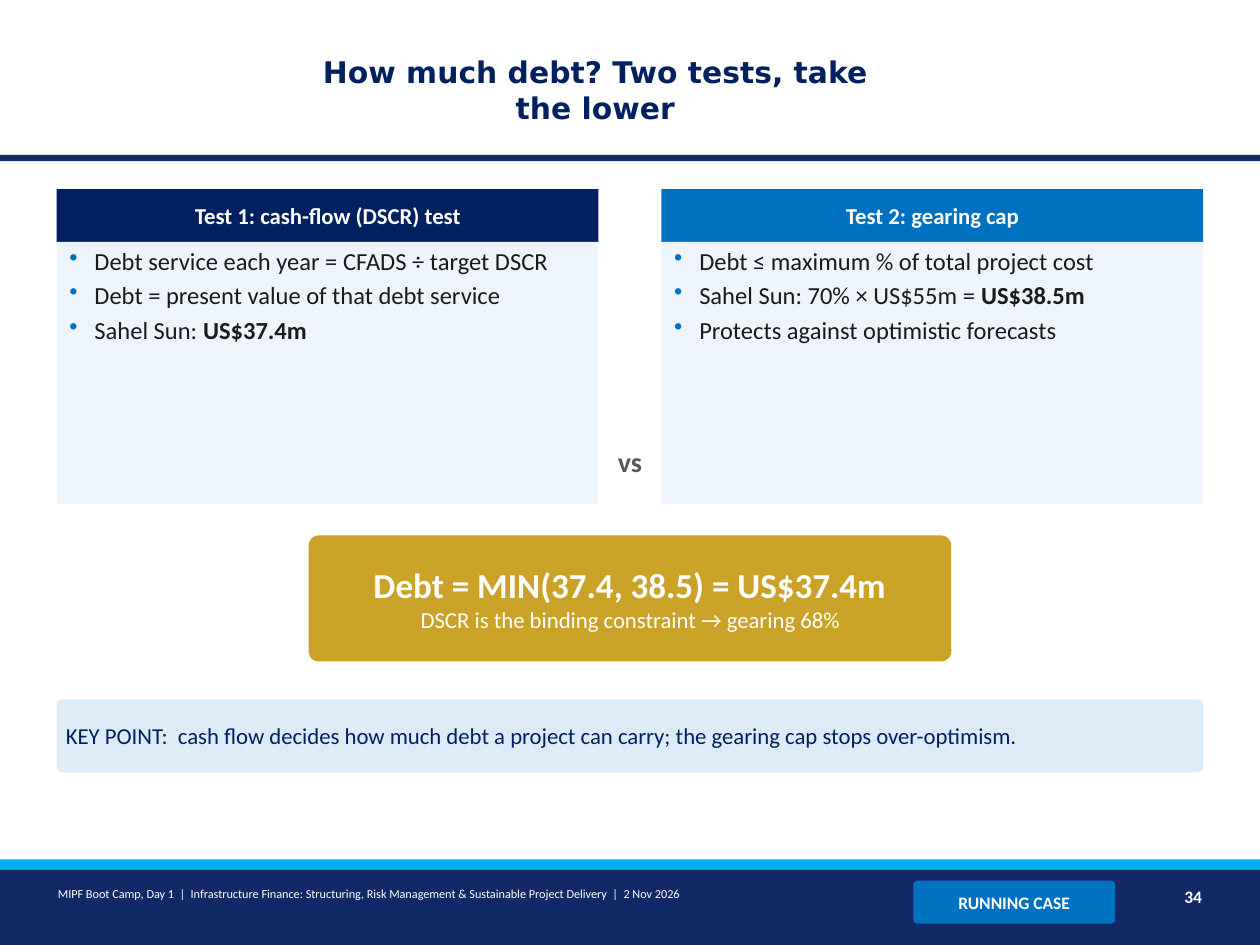
from lxml import etree
from pptx import Presentation
from pptx.dml.color import RGBColor
from pptx.enum.shapes import MSO_SHAPE as SHAPE
from pptx.enum.text import MSO_ANCHOR as ANCHOR, PP_ALIGN as ALIGN
from pptx.oxml.ns import qn
from pptx.util import Emu, Pt

PX = 9144  # 100 px to the inch
NAVY, BLUE, WHITE = "002060", "0070C0", "FFFFFF"
BAND, SKY, PANEL = "122867", "00AEEF", "EEF4FB"
GOLD, PALE, INK, GREY = "C9A227", "DDEBF7", "1A1A1A", "595959"
MARGIN, WIDTH, CARD_W = 45, 910, 430


def px(n):
    return Emu(n * PX)


def rgb(value):
    return RGBColor.from_string(value)


def add_block(slide, box, fill, shape=SHAPE.RECTANGLE):
    sp = slide.shapes.add_shape(shape, *map(px, box))
    sp.shadow.inherit = False
    sp.fill.solid()
    sp.fill.fore_color.rgb = rgb(fill)
    sp.line.fill.background()
    if shape == SHAPE.ROUNDED_RECTANGLE:
        sp.adjustments[0] = 0.08
    return sp


def set_frame(sp, anchor, insets=(6, 3)):
    tf = sp.text_frame
    tf.word_wrap = True
    tf.vertical_anchor = anchor
    tf.margin_left = tf.margin_right = px(insets[0])
    tf.margin_top = tf.margin_bottom = px(insets[1])
    return tf


def format_run(r, size, color, bold=False, font="Calibri"):
    r.font.size = Pt(size)
    r.font.name = font
    r.font.bold = bold
    r.font.color.rgb = rgb(color)


def write(sp, text, size, color, bold=False, align=ALIGN.CENTER,
          anchor=ANCHOR.MIDDLE, font="Calibri", insets=(6, 3)):
    tf = set_frame(sp, anchor, insets)
    tf.text = text
    p = tf.paragraphs[0]
    p.alignment = align
    format_run(p.runs[0], size, color, bold, font)
    return tf


def add_label(slide, box, text, size, color, **style):
    sp = slide.shapes.add_textbox(*map(px, box))
    write(sp, text, size, color, **style)


def add_bullet(p):
    pPr = p._p.get_or_add_pPr()
    pPr.set("marL", str(px(24)))
    pPr.set("indent", str(px(-20)))
    color = etree.SubElement(pPr, qn("a:buClr"))
    etree.SubElement(color, qn("a:srgbClr"), val=BLUE)
    etree.SubElement(pPr, qn("a:buChar"), char="•")


def add_card(slide, left, color, heading, points):
    """Draw a heading bar over a bulleted panel; points are (text, bold ending)."""
    bar = add_block(slide, (left, 150, CARD_W, 42), color)
    write(bar, heading, 13, WHITE, bold=True)
    panel = add_block(slide, (left, 192, CARD_W, 208), PANEL)
    tf = set_frame(panel, ANCHOR.TOP)
    for i, (text, ending) in enumerate(points):
        p = tf.add_paragraph() if i else tf.paragraphs[0]
        p.text = text
        add_bullet(p)
        p.alignment = ALIGN.LEFT
        p.space_after = Pt(3)
        format_run(p.runs[0], 14, INK)
        if ending:
            r = p.add_run()
            r.text = ending
            format_run(r, 14, INK, bold=True)


def add_bands(slide):
    for top, height, color in ((123, 5, BAND), (690, 60, BAND), (682, 8, SKY)):
        add_block(slide, (0, top, 1000, height), color)


def add_footer(slide):
    tag = add_block(slide, (725, 699, 160, 34), BLUE, SHAPE.ROUNDED_RECTANGLE)
    write(tag, "RUNNING CASE", 10, WHITE, bold=True)
    add_label(slide, (40, 700, 680, 35),
              "MIPF Boot Camp, Day 1  |  Infrastructure Finance: Structuring, Risk "
              "Management & Sustainable Project Delivery  |  2 Nov 2026",
              7, WHITE, align=ALIGN.LEFT, anchor=ANCHOR.TOP)
    add_label(slide, (900, 700, 60, 35), "34", 10, WHITE, bold=True,
              align=ALIGN.RIGHT, anchor=ANCHOR.TOP)


def add_result(slide):
    sp = add_block(slide, (245, 425, 510, 100), GOLD, SHAPE.ROUNDED_RECTANGLE)
    tf = write(sp, "Debt = MIN(37.4, 38.5) = US$37.4m", 20, WHITE, bold=True)
    p = tf.add_paragraph()
    p.text = "DSCR is the binding constraint → gearing 68%"
    p.alignment = ALIGN.CENTER
    format_run(p.runs[0], 13, WHITE)


def add_key_point(slide):
    sp = add_block(slide, (MARGIN, 555, WIDTH, 58), PALE, SHAPE.ROUNDED_RECTANGLE)
    write(sp, "KEY POINT:  cash flow decides how much debt a project can carry; "
              "the gearing cap stops over-optimism.", 13, NAVY, align=ALIGN.LEFT)


def main():
    prs = Presentation()
    prs.slide_width, prs.slide_height = px(1000), px(750)
    slide = prs.slides.add_slide(prs.slide_layouts[6])
    add_bands(slide)
    add_label(slide, (230, 22, 485, 98), "How much debt? Two tests, take the lower",
              17, NAVY, bold=True, font="DejaVu Sans", insets=(10, 5))
    add_footer(slide)
    add_card(slide, MARGIN, NAVY, "Test 1: cash-flow (DSCR) test", [
        ("Debt service each year = CFADS ÷ target DSCR", ""),
        ("Debt = present value of that debt service", ""),
        ("Sahel Sun: ", "US$37.4m"),
    ])
    add_card(slide, MARGIN + WIDTH - CARD_W, BLUE, "Test 2: gearing cap", [
        ("Debt ≤ maximum % of total project cost", ""),
        ("Sahel Sun: 70% × US$55m = ", "US$38.5m"),
        ("Protects against optimistic forecasts", ""),
    ])
    add_result(slide)
    add_label(slide, (MARGIN + CARD_W, 350, 50, 50), "vs", 16, GREY, bold=True,
              anchor=ANCHOR.TOP)
    add_key_point(slide)
    prs.save("out.pptx")


if __name__ == "__main__":
    main()
